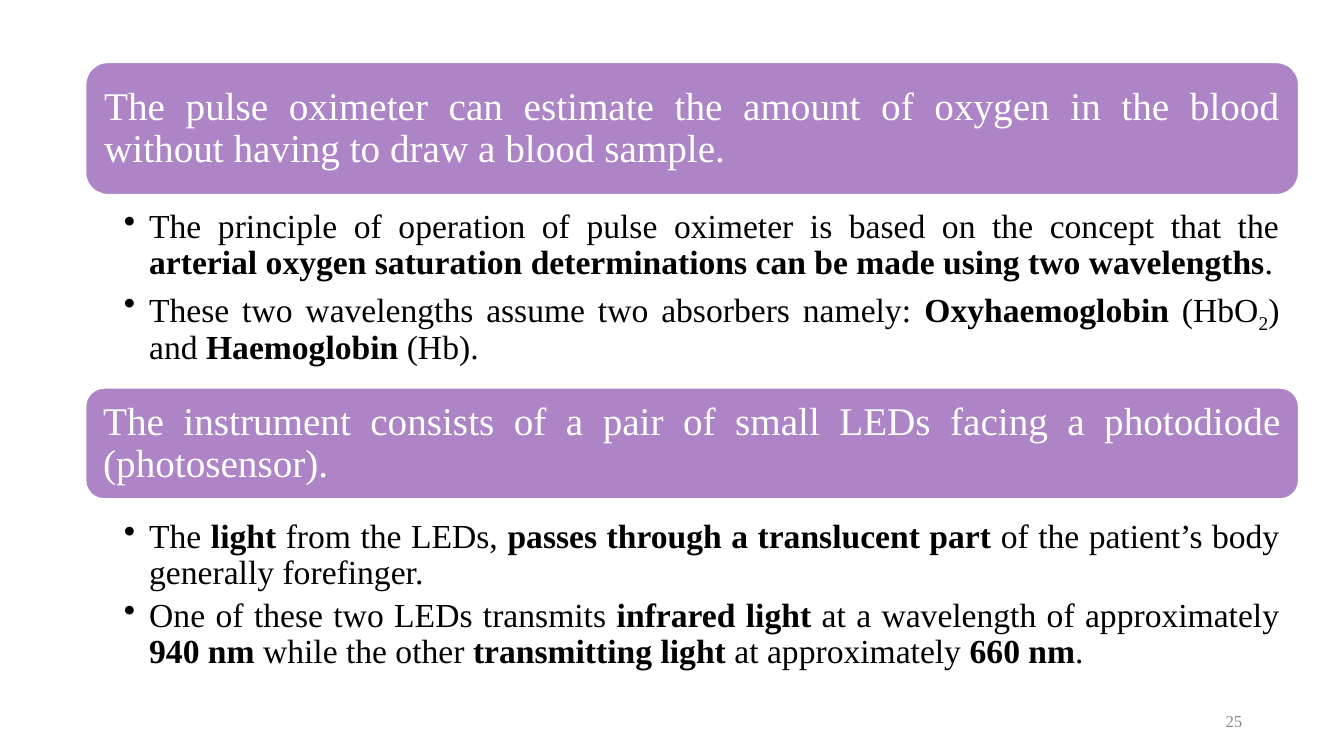
import pptx
import pptx.util
import pptx.dml.color
import pptx.enum.shapes
import pptx.enum.text
import lxml.etree
from dataclasses import dataclass

Inches, Pt = pptx.util.Inches, pptx.util.Pt
RGB = pptx.dml.color.RGBColor.from_string
ALIGN = pptx.enum.text.PP_ALIGN
ANCHOR = pptx.enum.text.MSO_ANCHOR


@dataclass(frozen=True)
class Theme:
    """Colours, font and type sizes of the slide."""
    font: str = "Times New Roman"
    banner: str = "AD84C6"
    light: str = "FFFFFF"
    dark: str = "000000"
    muted: str = "8C8C8C"
    banner_size: int = 28
    body_size: int = 24
    number_size: int = 12


THEME = Theme()
PLAIN, BOLD, SUB = "plain", "bold", "sub"
LEFT, WIDTH = 0.85, 12.03

SECTIONS = [
    (0.62, 1.31, 2.05, 1.56,
     "The pulse oximeter can estimate the amount of oxygen in the blood "
     "without having to draw a blood sample.",
     [[("The principle of operation of pulse oximeter is based on the concept that the ", PLAIN),
       ("arterial oxygen saturation determinations can be made using two wavelengths", BOLD),
       (".", PLAIN)],
      [("These two wavelengths assume two absorbers namely: ", PLAIN),
       ("Oxyhaemoglobin", BOLD), (" (HbO", PLAIN), ("2", SUB), (") and ", PLAIN),
       ("Haemoglobin", BOLD), (" (Hb).", PLAIN)]]),
    (3.85, 1.1, 5.12, 1.48,
     "The instrument consists of a pair of small LEDs facing a photodiode (photosensor).",
     [[("The ", PLAIN), ("light", BOLD), (" from the LEDs, ", PLAIN),
       ("passes through a translucent part ", BOLD),
       ("of the patient’s body generally forefinger.", PLAIN)],
      [("One of these two LEDs transmits ", PLAIN), ("infrared light ", BOLD),
       ("at a wavelength of approximately ", PLAIN), ("940 nm ", BOLD),
       ("while the other ", PLAIN), ("transmitting light ", BOLD),
       ("at approximately ", PLAIN), ("660 nm", BOLD), (".", PLAIN)]]),
]


def add_run(p, text, size, color, style=PLAIN):
    """Append one styled run to a paragraph."""
    r = p.add_run()
    r.text = text
    r.font.name, r.font.size = THEME.font, Pt(size)
    r.font.color.rgb = RGB(color)
    r.font.bold = style == BOLD
    if style == SUB:
        r._r.get_or_add_rPr().set("baseline", "-25000")


def set_frame(tf, anchor, left, top, right, bottom):
    """Set wrapping, anchor and insets of a text frame."""
    tf.word_wrap = True
    tf.vertical_anchor = anchor
    tf.margin_left, tf.margin_top = Inches(left), Inches(top)
    tf.margin_right, tf.margin_bottom = Inches(right), Inches(bottom)


def add_bullet(p):
    """Give a paragraph a hanging round bullet."""
    pPr = p._p.get_or_add_pPr()
    pPr.set("marL", str(Inches(0.25)))
    pPr.set("indent", str(-Inches(0.25)))
    bullet = lxml.etree.SubElement(pPr, pptx.oxml.ns.qn("a:buChar"))
    bullet.set("char", "•")


def add_banner(s, x, y, w, h, text):
    """Draw a rounded heading bar with its text."""
    sp = s.shapes.add_shape(pptx.enum.shapes.MSO_SHAPE.ROUNDED_RECTANGLE,
                            Inches(x), Inches(y), Inches(w), Inches(h))
    sp.shadow.inherit = False
    sp.fill.solid()
    sp.fill.fore_color.rgb = RGB(THEME.banner)
    sp.line.color.rgb = RGB(THEME.light)
    sp.line.width = Pt(1)
    set_frame(sp.text_frame, ANCHOR.MIDDLE, 0.12, 0.12, 0.12, 0.12)
    p = sp.text_frame.paragraphs[0]
    p.alignment, p.line_spacing = ALIGN.JUSTIFY, 0.9
    add_run(p, text, THEME.banner_size, THEME.light)


def add_bullets(s, x, y, w, h, items):
    """Place a justified bullet list."""
    tf = s.shapes.add_textbox(Inches(x), Inches(y), Inches(w), Inches(h)).text_frame
    set_frame(tf, ANCHOR.TOP, 0.38, 0.03, 0.19, 0.03)
    for i, runs in enumerate(items):
        p = tf.add_paragraph() if i else tf.paragraphs[0]
        add_bullet(p)
        p.level = 1
        p.alignment, p.line_spacing = ALIGN.JUSTIFY, 0.9
        p.space_after = Pt(5)
        for text, style in runs:
            add_run(p, text, THEME.body_size, THEME.dark, style)


def add_page_number(s, x, y, w, h, number):
    """Place the right-aligned slide number."""
    tf = s.shapes.add_textbox(Inches(x), Inches(y), Inches(w), Inches(h)).text_frame
    set_frame(tf, ANCHOR.MIDDLE, 0.1, 0.05, 0.1, 0.05)
    p = tf.paragraphs[0]
    p.alignment = ALIGN.RIGHT
    add_run(p, number, THEME.number_size, THEME.muted)


def main():
    """Build and save the slide."""
    prs = pptx.Presentation()
    prs.slide_width, prs.slide_height = Inches(13.33), Inches(7.5)
    s = prs.slides.add_slide(prs.slide_layouts[6])
    for banner_y, banner_h, list_y, list_h, heading, items in SECTIONS:
        add_banner(s, LEFT, banner_y, WIDTH, banner_h, heading)
        add_bullets(s, LEFT, list_y, WIDTH, list_h, items)
    add_page_number(s, 9.42, 6.95, 3, 0.4, "25")
    prs.save("out.pptx")


if __name__ == "__main__":
    main()
